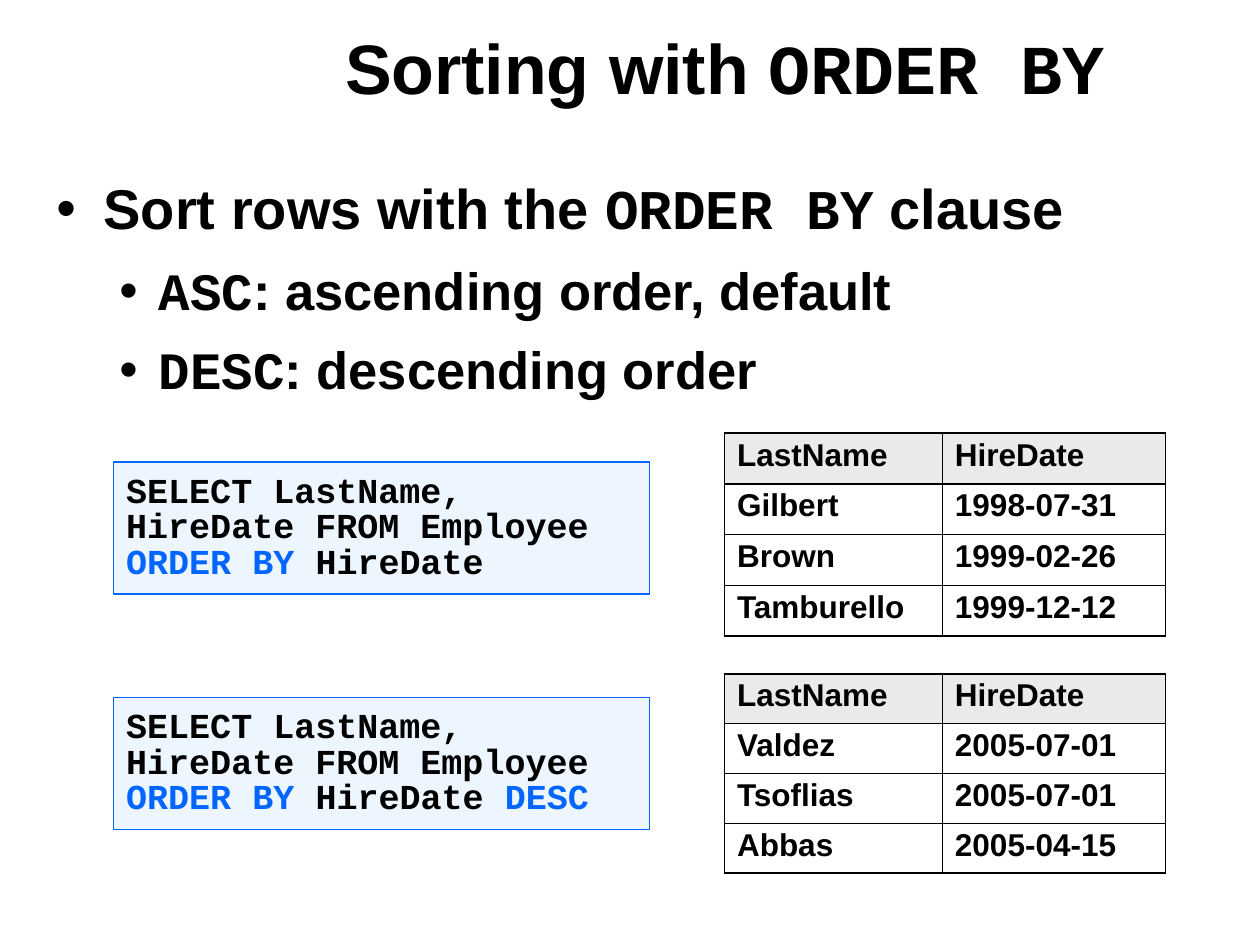
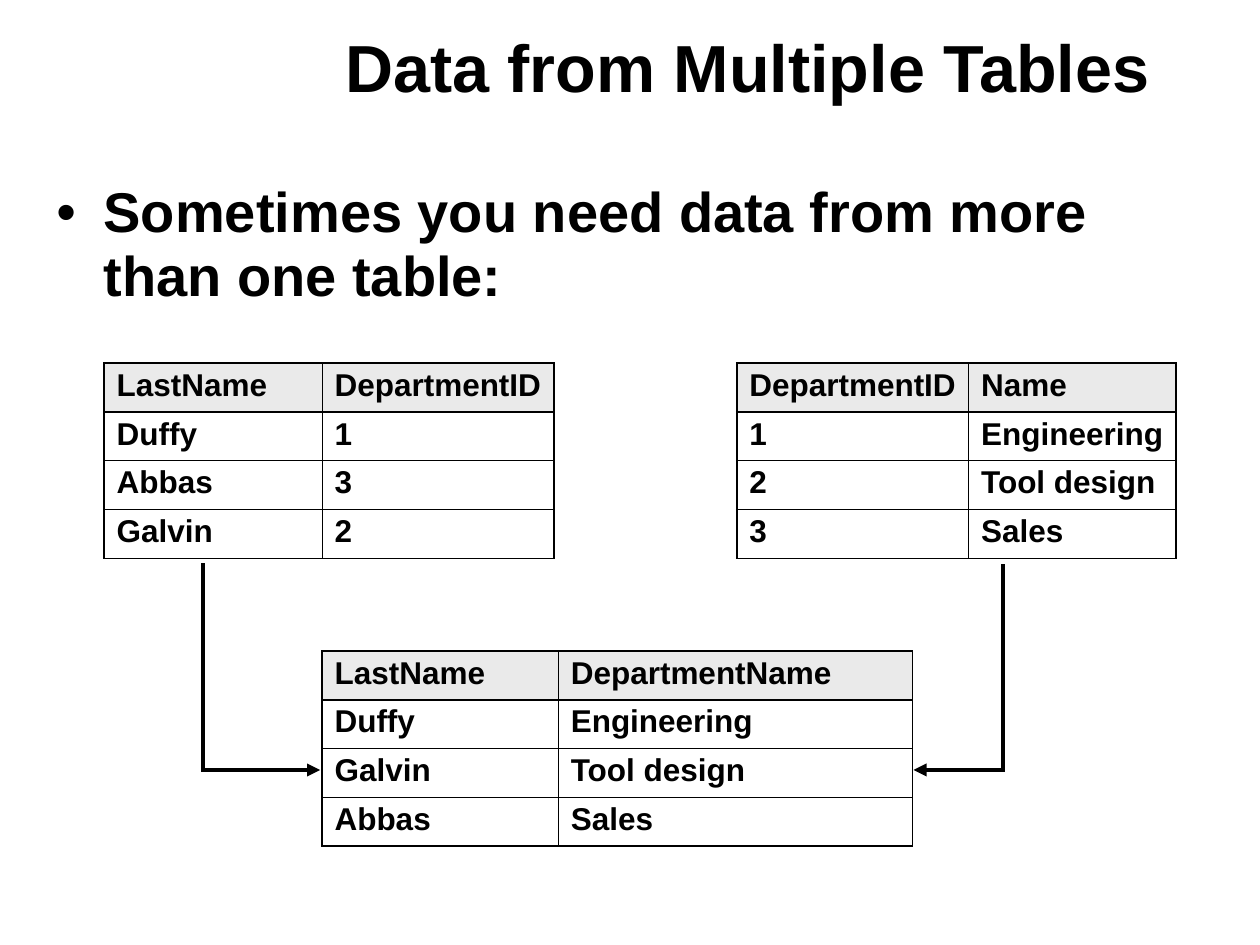
from dataclasses import dataclass

from lxml.etree import SubElement
from pptx import Presentation
from pptx.dml.color import RGBColor as RGB
from pptx.enum.shapes import MSO_CONNECTOR as Connector, MSO_SHAPE as Shape
from pptx.enum.text import MSO_ANCHOR as Anchor, MSO_AUTO_SIZE as AutoSize, PP_ALIGN as Align
from pptx.oxml.ns import qn
from pptx.util import Pt


@dataclass(frozen=True)
class Theme:
    ink: str = "000000"
    accent: str = "0066FF"
    code_fill: str = "DDECFF"
    header_fill: str = "EAEAEA"
    sans: str = "Arial"
    mono: str = "Courier New"
    bullet_sizes: tuple = (32, 30)
    code_size: int = 20
    cell_size: int = 18
    thick: float = 1.08
    thin: float = 0.45
    arrow: float = 2.5


theme = Theme()


def write_line(paragraph, pieces, size, spacing):
    """Fill a bold paragraph from (text, font, colour) pieces."""
    paragraph.alignment = Align.LEFT
    paragraph.line_spacing = spacing
    paragraph.font.size = Pt(size)
    paragraph.font.bold = True
    for text, face, colour in pieces:
        run = paragraph.add_run()
        run.text = text
        run.font.name = face
        run.font.color.rgb = RGB.from_string(colour)


def add_grid(slide, left, top, widths, row_height, rows):
    """Add a table with a shaded header, a thick frame and thin inner rules."""
    last_row, last_col = len(rows) - 1, len(widths) - 1
    grid = slide.shapes.add_table(len(rows), len(widths), Pt(left), Pt(top),
                                  Pt(sum(widths)), Pt(row_height * len(rows))).table
    grid.first_row = grid.horz_banding = False
    for column, width in zip(grid.columns, widths):
        column.width = Pt(width)
    for r, values in enumerate(rows):
        grid.rows[r].height = Pt(row_height)
        for c, value in enumerate(values):
            cell = grid.cell(r, c)
            write_line(cell.text_frame.paragraphs[0],
                       [(value, theme.sans, theme.ink)], theme.cell_size, 0.95)
            thick_edges = {"lnL": c == 0, "lnR": c == last_col,
                           "lnT": r <= 1, "lnB": r in (0, last_row)}
            properties = cell._tc.get_or_add_tcPr()
            for edge, is_thick in thick_edges.items():
                width = Pt(theme.thick if is_thick else theme.thin)
                rule = SubElement(properties, qn(f"a:{edge}"), w=str(width))
                SubElement(SubElement(rule, qn("a:solidFill")), qn("a:srgbClr"), val=theme.ink)
            if r == 0:
                cell.fill.solid()
                cell.fill.fore_color.rgb = RGB.from_string(theme.header_fill)
            else:
                cell.fill.background()


deck = Presentation()
deck.slide_width, deck.slide_height = Pt(720), Pt(540)

# Text styles used in titles, bullets and code
sans = (theme.sans, theme.ink)
mono = (theme.mono, theme.ink)
keyword = (theme.mono, theme.accent)

# Titles and bullets: (title pieces, title size, bullet spacing, bullets by level)
outlines = [
    ([("Sorting with ", *sans), ("ORDER BY", *mono)], 40, 0.9,
     [(0, [("Sort rows with the ", *sans), ("ORDER BY", *mono), (" clause", *sans)]),
      (1, [("ASC", *mono), (": ascending order, default", *sans)]),
      (1, [("DESC", *mono), (": descending order", *sans)])]),
    ([("Data from Multiple Tables", *sans)], 38, 0.95,
     [(0, [("Sometimes you need data from more than one table:", *sans)])]),
]
indents = [(27, -27), (58.5, -22.5)]

for title_pieces, title_size, bullet_spacing, bullets in outlines:
    slide = deck.slides.add_slide(deck.slide_layouts[1])
    title, body = slide.shapes.title, slide.placeholders[1]
    title.left, title.top, title.width, title.height = Pt(190), Pt(6), Pt(516), Pt(71)
    body.left, body.top, body.width, body.height = Pt(25), Pt(100), Pt(669), Pt(420)
    title.text_frame.vertical_anchor = Anchor.MIDDLE
    title.text_frame.auto_size = body.text_frame.auto_size = AutoSize.NONE
    write_line(title.text_frame.paragraphs[0], title_pieces, title_size, 0.85)

    for i, (level, pieces) in enumerate(bullets):
        bullet = body.text_frame.add_paragraph() if i else body.text_frame.paragraphs[0]
        bullet.level = level
        margin, hanging = indents[level]
        properties = bullet._p.get_or_add_pPr()
        properties.set("marL", str(Pt(margin)))
        properties.set("indent", str(Pt(hanging)))
        SubElement(SubElement(properties, qn("a:buClr")), qn("a:srgbClr"), val=theme.ink)
        SubElement(properties, qn("a:buFont"), typeface=theme.sans)
        SubElement(properties, qn("a:buChar"), char="•")
        bullet.space_before = Pt(13.1 if i else 0)
        write_line(bullet, pieces, theme.bullet_sizes[level], bullet_spacing)

sorting, joining = deck.slides

# Sorting: each query beside its result
select = ("SELECT LastName, HireDate FROM Employee ", *mono)
order_by = ("ORDER BY", *keyword)
queries = [
    (264, [select, order_by, (" HireDate", *mono)], 247.5, 29,
     [("Gilbert", "1998-07-31"), ("Brown", "1999-02-26"), ("Tamburello", "1999-12-12")]),
    (398.5, [select, order_by, (" HireDate ", *mono), ("DESC", *keyword)], 385, 28.5,
     [("Valdez", "2005-07-01"), ("Tsoflias", "2005-07-01"), ("Abbas", "2005-04-15")]),
]
for query_top, query_pieces, result_top, row_height, employees in queries:
    query = sorting.shapes.add_shape(Shape.RECTANGLE, Pt(65), Pt(query_top), Pt(306), Pt(75.5))
    query.shadow.inherit = False
    query.fill.solid()
    query.fill.fore_color.rgb = RGB.from_string(theme.code_fill)
    tint = query.fill._xPr.find(qn("a:solidFill"))[0]
    SubElement(tint, qn("a:alpha"), val="50000")
    query.line.color.rgb = RGB.from_string(theme.accent)
    query.line.width = Pt(0.75)
    frame = query.text_frame
    frame.word_wrap = True
    frame.vertical_anchor = Anchor.TOP
    frame.margin_left = frame.margin_right = frame.margin_top = frame.margin_bottom = Pt(7.2)
    write_line(frame.paragraphs[0], query_pieces, theme.code_size, 0.85)
    add_grid(sorting, 414, result_top, (124.5, 127.5), row_height,
             [("LastName", "HireDate"), *employees])

# Joining: arrows from both source tables to the joined one
arrow_level = 440
for source_x, source_bottom, joined_x in [(573, 322.5, 522), (116, 322, 183)]:
    drop = (source_x, source_bottom, source_x, arrow_level + 1.25)
    pointer = (source_x, arrow_level, joined_x, arrow_level)
    for segment in (drop, pointer):
        arrow = joining.shapes.add_connector(Connector.STRAIGHT, *map(Pt, segment))
        arrow.line.color.rgb = RGB.from_string(theme.ink)
        arrow.line.width = Pt(theme.arrow)
        if segment is pointer:
            SubElement(arrow.line._get_or_add_ln(), qn("a:tailEnd"), type="triangle")
        SubElement(arrow._element.spPr, qn("a:effectLst"))

# Joining: source tables and joined table
add_grid(joining, 59.5, 207.5, (124.5, 132.5), 27.9,
         [("LastName", "DepartmentID"), ("Duffy", "1"), ("Abbas", "3"), ("Galvin", "2")])
add_grid(joining, 421, 207.5, (132.5, 118.5), 27.9,
         [("DepartmentID", "Name"), ("1", "Engineering"), ("2", "Tool design"), ("3", "Sales")])
add_grid(joining, 184, 372, (135, 202.5), 27.9,
         [("LastName", "DepartmentName"), ("Duffy", "Engineering"),
          ("Galvin", "Tool design"), ("Abbas", "Sales")])

deck.save("out.pptx")
